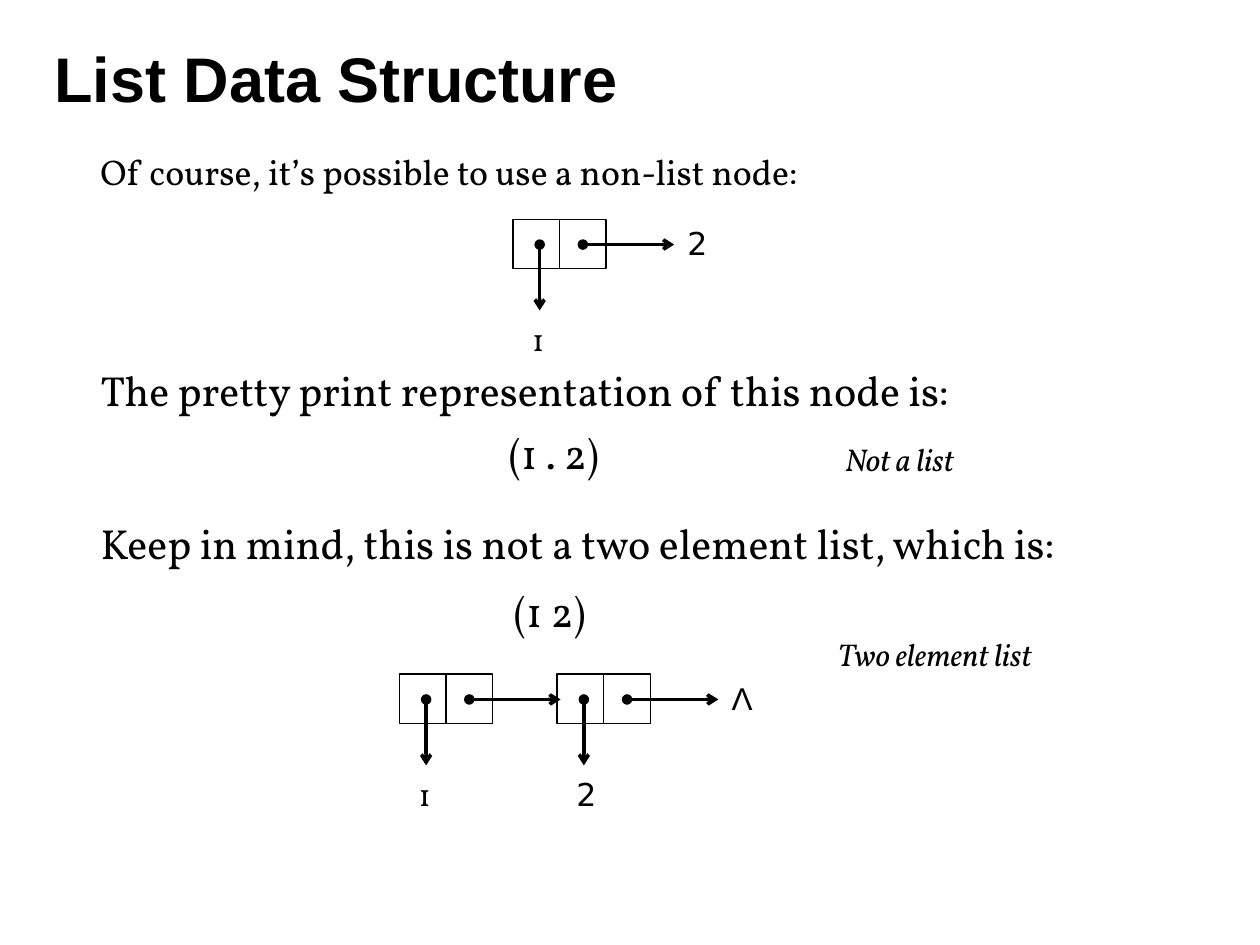
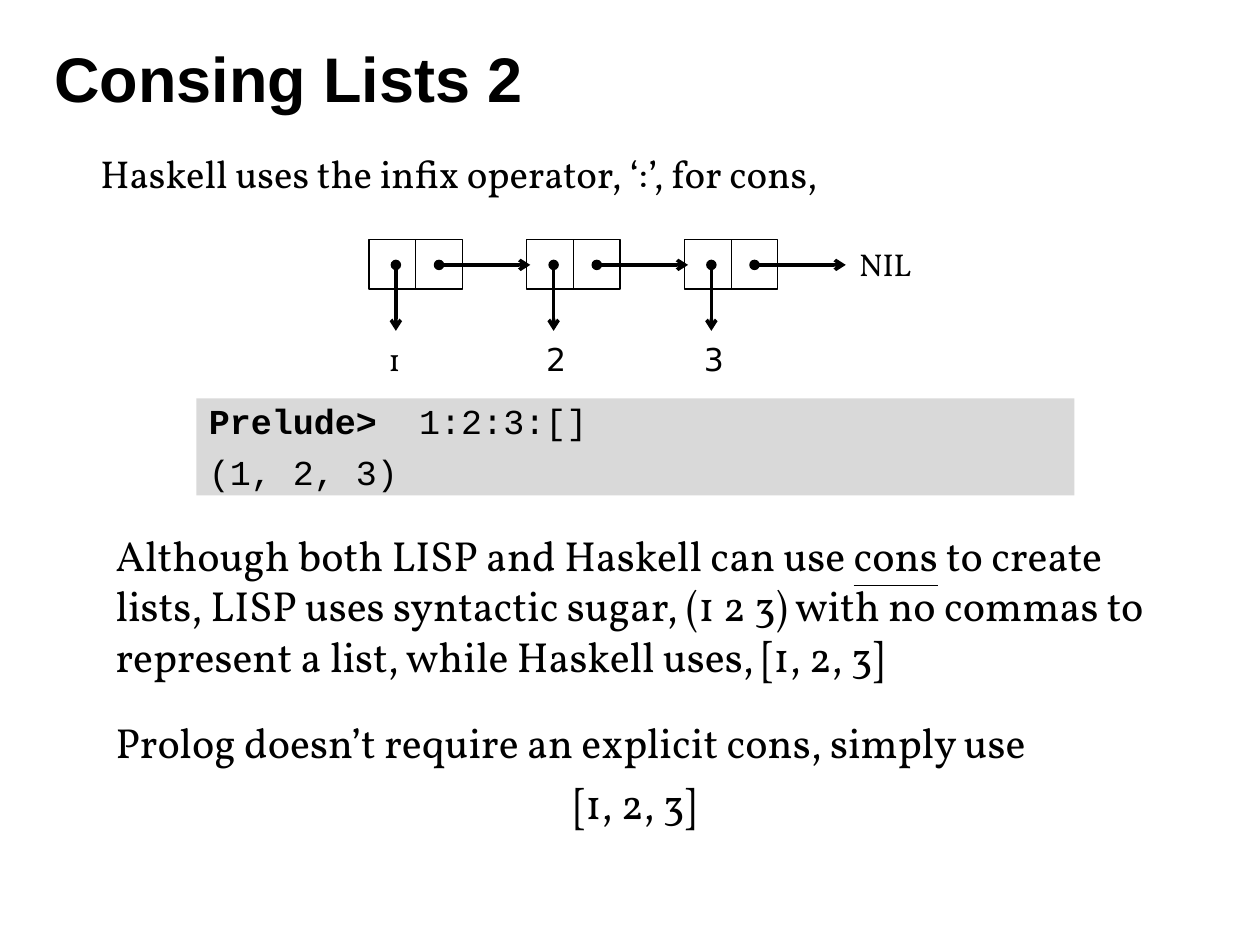
from lxml import etree
from pptx import Presentation
from pptx.dml.color import RGBColor
from pptx.enum.shapes import MSO_CONNECTOR, MSO_SHAPE
from pptx.enum.text import MSO_ANCHOR, MSO_AUTO_SIZE, PP_ALIGN
from pptx.oxml.ns import qn
from pptx.util import Cm, Pt

LEFT, CENTER = PP_ALIGN.LEFT, PP_ALIGN.CENTER
TOP, MIDDLE = MSO_ANCHOR.TOP, MSO_ANCHOR.MIDDLE
NO_FIT = MSO_AUTO_SIZE.NONE
STRAIGHT = MSO_CONNECTOR.STRAIGHT
RECTANGLE = MSO_SHAPE.RECTANGLE

COLORS = {"ink": "000000", "code": "D9D9D9"}
SERIF, SANS, MONO, DIGITS = "Vollkorn", "Arial", "Courier New", "DejaVu Sans"

# Content: areas are (left, top, width, height) in centimetres.
# A paragraph is a list of (text, format) spans plus its own spacing and alignment.
TITLE_AREA = (0.84, 0.38, 20.12, 2.36)
SLIDES = [
    {
        "title": "List Data Structure",
        "intro": ("Of course, it’s possible to use a non-list node:", 20.4),
        "texts": [
            ("The pretty print representation of this node is:", (1.78, 7.21, 21.74, 1.5), {}),
            ("(1 . 2)", (10.01, 8.48, 2.67, 1.5), {}),
            ("Keep in mind, this is not a two element list, which is:",
             (1.78, 10.31, 21.74, 1.12), {}),
            ("(1 2)", (10.11, 11.68, 2.67, 1.5), {}),
            ("Two element list", (16.64, 12.67, 5.33, 1.02), {"size": 18, "italic": True}),
            ("Not a list", (16.79, 8.74, 3.2, 1.02), {"size": 18, "italic": True}),
        ],
        "chains": [
            {"at": (10.34, 4.42), "items": ["1"], "end": ("2", DIGITS)},
            {"at": (8.05, 13.59), "items": ["1", "2"], "end": ("Λ", SANS)},
        ],
    },
    {
        "title": "Consing Lists 2",
        "intro": ("Haskell uses the infix operator, ‘:’, for cons,", 22.2),
        "texts": [
            ([
                {"spans": [
                    ("Although both LISP and Haskell can use ", {}),
                    ("cons", {"underline": True}),
                    (" to create lists, LISP uses syntactic sugar, (1 2 3) with no commas"
                     " to represent a list, while Haskell uses, [1, 2, 3]", {}),
                ]},
                {"spans": [("Prolog doesn’t require an explicit cons, simply use", {})],
                 "before": 20.5},
                {"spans": [("[1, 2, 3]", {})], "before": 6, "align": CENTER},
            ], (2.08, 10.54, 21.44, 6.3), {}),
        ],
        "chains": [
            {"at": (7.44, 4.83), "items": ["1", "2", "3"], "end": ("NIL", SERIF)},
        ],
        "code": ([
            {"spans": [("Prelude> ", {"bold": True}), (" 1:2:3:[]", {})]},
            {"spans": [("(1, 2, 3)", {})], "before": 5},
        ], (3.96, 8.03, 17.7, 1.96)),
    },
]

# Cons cell geometry in centimetres, relative to the top left of its box
CELL_WIDTH, CELL_HEIGHT, CELL_PITCH = 1.88, 1.0, 3.18
CAR_X, CDR_X, DOT_Y = 0.54, 1.41, 0.51
CAR_LENGTH, CDR_LENGTH = 1.33, 1.84


def color(name):
    return RGBColor.from_string(COLORS[name])


def place(shape, area):
    shape.left, shape.top, shape.width, shape.height = map(Cm, area)


def write(shape, content, size=24, font=SERIF, bold=False, italic=False,
          anchor=TOP, line_spacing=1.0, inset=0.13):
    """Fill a shape with one string or a list of paragraphs."""
    if isinstance(content, str):
        content = [{"spans": [(content, {})]}]
    frame = shape.text_frame
    frame.word_wrap = True
    frame.auto_size = NO_FIT
    frame.vertical_anchor = anchor
    frame.margin_top = frame.margin_bottom = Cm(inset)
    for index, entry in enumerate(content):
        para = frame.paragraphs[0] if index == 0 else frame.add_paragraph()
        para.alignment = entry.get("align", LEFT)
        para.line_spacing = line_spacing
        para.space_before = Pt(entry.get("before", 0))
        for text, extra in entry["spans"]:
            span = para.add_run()
            span.text = text
            span.font.name = font
            span.font.size = Pt(size)
            span.font.bold = extra.get("bold", bold)
            span.font.italic = italic
            span.font.underline = extra.get("underline", False)
            span.font.color.rgb = color("ink")


def add_text(page, content, area, **style):
    box = page.shapes.add_textbox(*map(Cm, area))
    write(box, content, **style)


def add_box(page, area, fill=None):
    box = page.shapes.add_shape(RECTANGLE, *map(Cm, area))
    box.shadow.inherit = False
    if fill:
        box.fill.solid()
        box.fill.fore_color.rgb = color(fill)
        box.line.fill.background()
    else:
        box.fill.background()
        box.line.color.rgb = color("ink")
        box.line.width = Pt(0.75)
    return box


def add_line(page, x, y, dx=0, dy=0, pointer=False):
    """Draw a thin line, or a thick pointer from a dot to an arrowhead."""
    line = page.shapes.add_connector(STRAIGHT, *map(Cm, (x, y, x + dx, y + dy)))
    line.line.color.rgb = color("ink")
    line.line.width = Pt(2 if pointer else 0.75)
    properties = line._element.spPr
    etree.SubElement(properties, qn("a:effectLst"))
    if pointer:
        outline = properties.find(qn("a:ln"))
        for tag, kind in (("a:headEnd", "oval"), ("a:tailEnd", "arrow")):
            etree.SubElement(outline, qn(tag), type=kind)


def add_chain(page, at, items, end):
    left, y = at
    for index, item in enumerate(items):
        x = left + index * CELL_PITCH
        add_box(page, (x, y, CELL_WIDTH, CELL_HEIGHT))
        add_line(page, x + CELL_WIDTH / 2, y, dy=CELL_HEIGHT)
        add_line(page, x + CAR_X, y + DOT_Y, dy=CAR_LENGTH, pointer=True)
        add_line(page, x + CDR_X, y + DOT_Y, dx=CDR_LENGTH, pointer=True)
        add_text(page, item, (x + 0.14, y + 1.9, 0.96, 1.02), size=18,
                 font=SERIF if item == "1" else DIGITS)
    text, font = end
    end_x = left + (len(items) - 1) * CELL_PITCH + CDR_X + CDR_LENGTH
    add_text(page, text, (end_x + 0.02, y - 0.03, 1.63, 1.02), size=18, font=font)


def add_intro(page, text, size):
    body = page.placeholders[1]
    place(body, (1.77, 2.99, 21.97, 1.2))
    properties = body.text_frame.paragraphs[0]._p.get_or_add_pPr()
    properties.set("marL", "0")
    properties.set("indent", "0")
    etree.SubElement(properties, qn("a:buNone"))
    write(body, text, size=size, line_spacing=0.9)


def build_page(deck, content):
    page = deck.slides.add_slide(deck.slide_layouts[1])
    place(page.shapes.title, TITLE_AREA)
    write(page.shapes.title, content["title"], size=36, font=SANS, bold=True, anchor=MIDDLE)
    add_intro(page, *content["intro"])
    for text, area, style in content["texts"]:
        add_text(page, text, area, **style)
    for chain in content["chains"]:
        add_chain(page, **chain)
    if "code" in content:
        lines, area = content["code"]
        write(add_box(page, area, fill="code"), lines, size=20, font=MONO, inset=0.03)


def main():
    deck = Presentation()
    deck.slide_width, deck.slide_height = Cm(25.4), Cm(19.05)
    for content in SLIDES:
        build_page(deck, content)
    deck.save("out.pptx")


if __name__ == "__main__":
    main()
